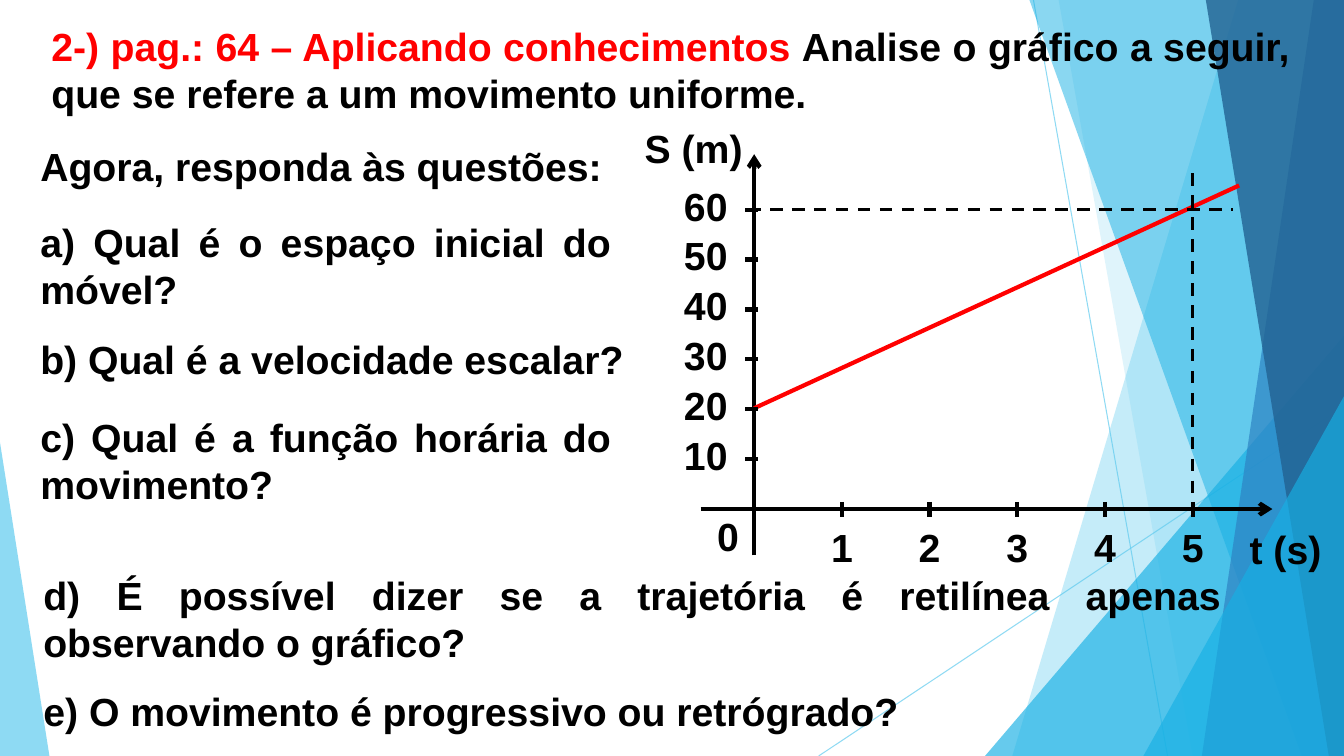
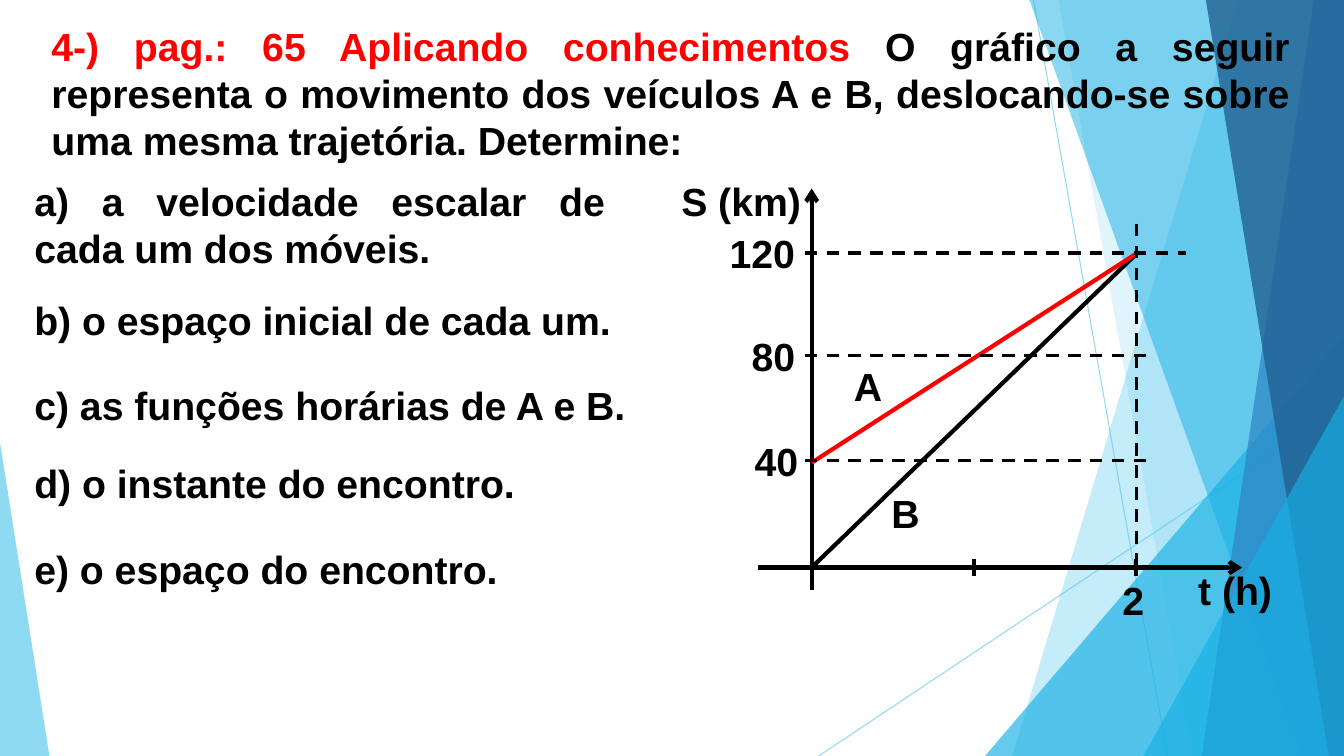
from dataclasses import dataclass

import pptx
import pptx.dml.color
import pptx.enum.dml
import pptx.enum.shapes
import pptx.enum.text
import pptx.oxml.ns
import pptx.util
from lxml import etree

Inches, Pt = pptx.util.Inches, pptx.util.Pt
qn = pptx.oxml.ns.qn
ALIGN = pptx.enum.text.PP_ALIGN


@dataclass(frozen=True)
class Theme:
    font: str = "Arial"
    size: int = 28
    black: str = "000000"
    red: str = "FF0000"
    sky: str = "5FCBEF"
    cyan: str = "17B0E4"
    blue: str = "2E83C3"
    navy: str = "226292"
    hairline: float = 0.75
    dashed: float = 2.25
    solid: float = 3


class Deck:
    def __init__(self, theme):
        self.theme = theme
        self.prs = pptx.Presentation()
        self.prs.slide_width, self.prs.slide_height = Inches(13.33), Inches(7.5)
        self.s = None

    def slide(self, layout, heading, text, height):
        """Add a slide whose title is a red heading followed by black text."""
        self.s = self.prs.slides.add_slide(self.prs.slide_layouts[layout])
        tf = self.place(self.s.shapes.title, 0.41, 0.17, 12.48, height)
        p = tf.paragraphs[0]
        p.alignment = ALIGN.JUSTIFY
        p.line_spacing, p.space_before = 1.0, Pt(0)
        self.run(p, heading + " ", self.theme.red)
        self.run(p, text)

    def place(self, sp, x, y, w, h):
        sp.left, sp.top, sp.width, sp.height = map(Inches, (x, y, w, h))
        tf = sp.text_frame
        tf.word_wrap = True
        tf.auto_size = pptx.enum.text.MSO_AUTO_SIZE.NONE
        tf.vertical_anchor = pptx.enum.text.MSO_ANCHOR.TOP
        return tf

    def run(self, p, text, color=None):
        r = p.add_run()
        r.text = text
        r.font.name, r.font.size, r.font.bold = self.theme.font, Pt(self.theme.size), True
        r.font.color.rgb = self.rgb(color or self.theme.black)

    def rgb(self, color):
        return pptx.dml.color.RGBColor.from_string(color)

    def questions(self, body, x, y, w, h, items):
        """Fill a body placeholder with (text, points before, right margin)."""
        sp = list(self.s.placeholders)[body]
        tf = self.place(sp, x, y, w, h)
        for i, (text, gap, margin) in enumerate(items):
            p = tf.add_paragraph() if i else tf.paragraphs[0]
            p.alignment = ALIGN.JUSTIFY
            p.line_spacing, p.space_before = 1.0, Pt(gap)
            pPr = p._p.get_or_add_pPr()
            pPr.set("marL", "0")
            pPr.set("marR", str(Inches(margin)))
            pPr.set("indent", "0")
            etree.SubElement(pPr, qn("a:buNone"))
            self.run(p, text)

    def label(self, text, cx, cy):
        """Write text centred on a point."""
        w, h = 0.2 + 0.22 * len(text), 0.57
        sp = self.s.shapes.add_textbox(0, 0, 0, 0)
        tf = self.place(sp, cx - w / 2, cy - h / 2, w, h)
        tf.word_wrap = False
        p = tf.paragraphs[0]
        p.alignment = ALIGN.CENTER
        self.run(p, text)

    def line(self, x1, y1, x2, y2, color=None, width=None, dash=False, arrow=False):
        c = self.s.shapes.add_connector(
            pptx.enum.shapes.MSO_CONNECTOR.STRAIGHT, *map(Inches, (x1, y1, x2, y2)))
        c.line.color.rgb = self.rgb(color or self.theme.black)
        c.line.width = Pt(width or (self.theme.dashed if dash else self.theme.solid))
        if dash:
            c.line.dash_style = pptx.enum.dml.MSO_LINE.DASH
        spPr = c.element.spPr
        if arrow:
            etree.SubElement(spPr.find(qn("a:ln")), qn("a:tailEnd"), type="arrow")
        etree.SubElement(spPr, qn("a:effectLst"))
        return c

    def alpha(self, sp, percent):
        for clr in sp.element.spPr.iter(qn("a:srgbClr")):
            etree.SubElement(clr, qn("a:alpha"), val=str(percent * 1000))

    def pane(self, sp, color, percent):
        """Turn a shape into a flat translucent pane."""
        sp.shadow.inherit = False
        sp.fill.solid()
        sp.fill.fore_color.rgb = self.rgb(color)
        sp.line.fill.background()
        self.alpha(sp, percent)

    def polygon(self, points, color, percent):
        pts = [(Inches(x), Inches(y)) for x, y in points]
        fb = self.s.shapes.build_freeform(*pts[0])
        fb.add_line_segments(pts[1:], close=True)
        self.pane(fb.convert_to_shape(), color, percent)

    def triangle(self, x, y, w, h, apex, color, percent):
        sp = self.s.shapes.add_shape(
            pptx.enum.shapes.MSO_SHAPE.ISOSCELES_TRIANGLE, *map(Inches, (x, y, w, h)))
        sp.adjustments[0] = apex
        self.pane(sp, color, percent)

    def backdrop(self):
        """Draw the shared facets and move them to the slide master."""
        t = self.theme
        own = len(self.s.shapes)
        for ends in ((10.25, 0, 11.58, 7.5), (13.33, 4.03, 8.12, 7.5)):
            self.alpha(self.line(*ends, color=t.sky, width=t.hairline), 70)

        def facet(top, bottom, color, percent):
            self.polygon([(top, 0), (13.33, 0), (13.33, 7.5), (bottom, 7.5)], color, percent)

        facet(12.28, 10.04, t.sky, 36)
        facet(10.5, 11.83, t.sky, 20)
        self.triangle(9.77, 3.33, 3.56, 4.17, 1, t.cyan, 66)
        facet(10.21, 12.91, t.cyan, 50)
        facet(13.03, 11.92, t.blue, 70)
        facet(11.96, 13.18, t.navy, 80)
        self.triangle(11.34, 3.93, 1.99, 3.57, 1, t.cyan, 66)
        self.triangle(0, 4.39, 0.49, 3.11, 0, t.sky, 70)
        master = self.prs.slide_master.shapes.element
        for i, sp in enumerate(list(self.s.shapes)[own:]):
            sp.element.xpath(".//p:cNvPr")[0].set("id", str(100 + i))
            master.append(sp.element)


def uniform_motion(deck):
    deck.slide(3, "2-) pag.: 64 – Aplicando conhecimentos",
               "Analise o gráfico a seguir, que se refere a um movimento uniforme.", 1.04)
    deck.backdrop()
    deck.questions(1, 0.3, 1.36, 6.08, 3.65, [
        ("Agora, responda às questões:", 0, 0),
        ("a) Qual é o espaço inicial do móvel?", 21, 0.22),
        ("b) Qual é a velocidade escalar?", 16, 0),
        ("c) Qual é a função horária do movimento?", 22, 0.22)])
    deck.questions(2, 0.33, 5.62, 11.88, 1.68, [
        ("d) É possível dizer se a trajetória é retilínea apenas observando o gráfico?", 0, 0),
        ("e) O movimento é progressivo ou retrógrado?", 15.5, 0)])

    x0, y0, second, ten_metres = 7.48, 5.05, 0.87, 0.495
    deck.line(6.95, y0, 12.62, y0, arrow=True)
    deck.line(x0, 5.51, x0, 1.53, arrow=True)
    deck.line(x0, 4.05, 12.29, 1.84, color=deck.theme.red)
    deck.line(7.42, 2.08, 12.23, 2.08, dash=True)
    deck.line(11.83, 1.72, 11.83, 5.15, dash=True)
    for i in range(1, 7):
        y = y0 - i * ten_metres
        deck.line(x0 - 0.09, y, x0 + 0.04, y)
        deck.label(str(10 * i), 7, y - 0.04)
    for i in range(1, 6):
        x = x0 + i * second
        deck.line(x, y0 - 0.07, x, y0 + 0.08)
        deck.label(str(i), x, 5.43)
    for text, cx, cy in (("S (m)", 6.88, 1.47), ("t (s)", 12.75, 5.45), ("0", 7.22, 5.32)):
        deck.label(text, cx, cy)


def two_vehicles(deck):
    deck.slide(1, "4-) pag.: 65 Aplicando conhecimentos",
               "O gráfico a seguir representa o movimento dos veículos A e B, "
               "deslocando-se sobre uma mesma trajetória. Determine:", 1.51)
    deck.questions(1, 0.24, 1.71, 6.14, 4.13, [
        ("a) a velocidade escalar de cada um dos móveis.", 0, 0.28),
        ("b) o espaço inicial de cada um.", 17.5, 0),
        ("c) as funções horárias de A e B.", 27, 0),
        ("d) o instante do encontro.", 22.5, 0),
        ("e) o espaço do encontro.", 28, 0)])

    x0, y0, meet_x, meet_y = 8.05, 5.63, 11.28, 2.51
    deck.line(7.52, y0, 12.32, y0, arrow=True)
    deck.line(x0, 5.85, x0, 1.87, arrow=True)
    deck.line(x0, y0, meet_x, meet_y)
    deck.line(x0, 4.59, meet_x, meet_y, color=deck.theme.red)
    for text, cx, y, end in (("120", 7.56, meet_y, 11.76), ("80", 7.67, 3.53, 11.43),
                             ("40", 7.7, 4.57, 11.43)):
        deck.line(7.98, y, end, y, dash=True)
        deck.label(text, cx, y)
    deck.line(11.27, 2.22, 11.27, 5.57, dash=True)
    for x in (9.66, 11.27):
        deck.line(x, y0 - 0.08, x, y0 + 0.08)
    for text, cx, cy in (("S (km)", 7.35, 2), ("t (h)", 12.25, 5.85), ("2", 11.24, 5.95),
                         ("A", 8.61, 3.83), ("B", 8.98, 5.09)):
        deck.label(text, cx, cy)


def main():
    deck = Deck(Theme())
    uniform_motion(deck)
    two_vehicles(deck)
    deck.prs.save("out.pptx")


if __name__ == "__main__":
    main()
